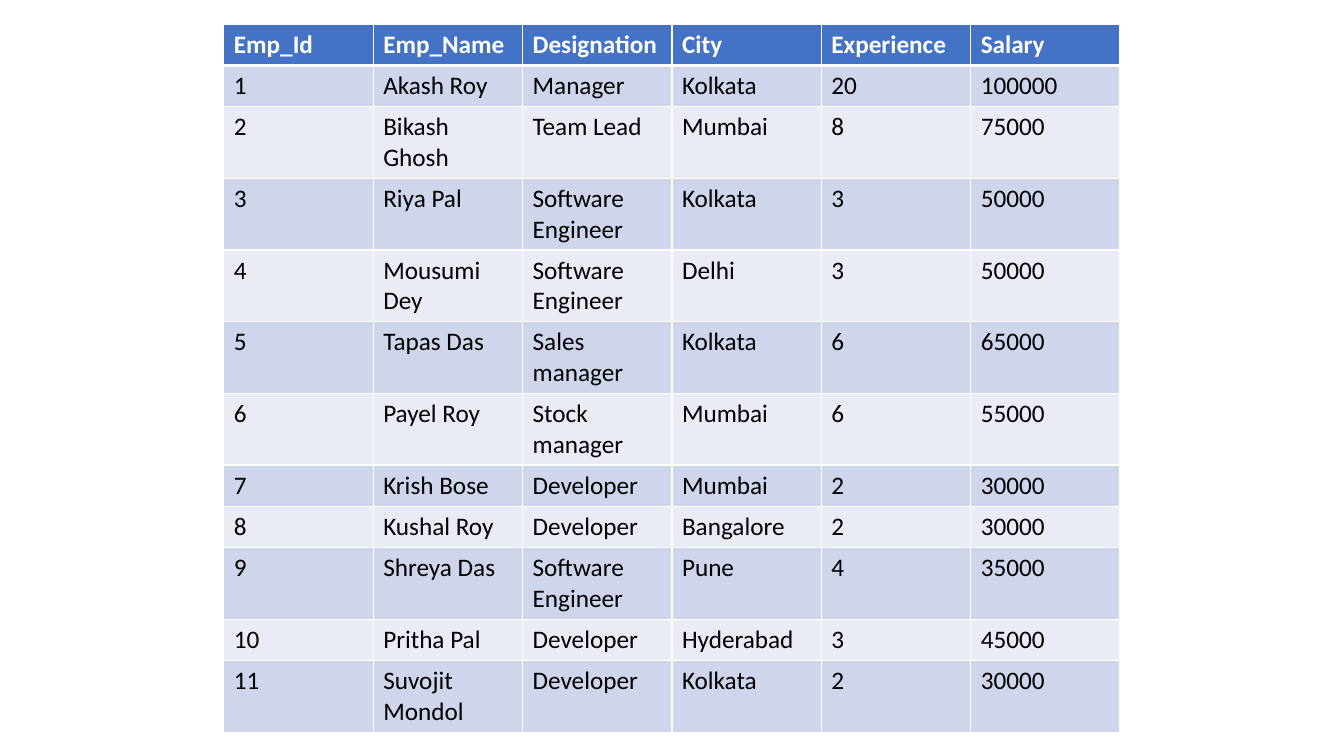
from lxml.etree import SubElement as sub
from pptx import Presentation
from pptx.dml.color import RGBColor as RGB
from pptx.oxml.ns import qn
from pptx.util import Pt

PX = 9144
WHITE = RGB(0xFF, 0xFF, 0xFF)
BLACK = RGB(0x00, 0x00, 0x00)
BLUE = RGB(0x44, 0x72, 0xC4)
BANDS = RGB(0xE9, 0xEB, 0xF5), RGB(0xCF, 0xD5, 0xEA)
FONT = "Calibri"
ROW = 41
STAFF = [
    ("Emp_Id", "Emp_Name", "Designation", "City", "Experience", "Salary"),
    ("1", "Akash Roy", "Manager", "Kolkata", "20", "100000"),
    ("2", "Bikash Ghosh", "Team Lead", "Mumbai", "8", "75000"),
    ("3", "Riya Pal", "Software Engineer", "Kolkata", "3", "50000"),
    ("4", "Mousumi Dey", "Software Engineer", "Delhi", "3", "50000"),
    ("5", "Tapas Das", "Sales manager", "Kolkata", "6", "65000"),
    ("6", "Payel Roy", "Stock manager", "Mumbai", "6", "55000"),
    ("7", "Krish Bose", "Developer", "Mumbai", "2", "30000"),
    ("8", "Kushal Roy", "Developer", "Bangalore", "2", "30000"),
    ("9", "Shreya Das", "Software Engineer", "Pune", "4", "35000"),
    ("10", "Pritha Pal", "Developer", "Hyderabad", "3", "45000"),
    ("11", "Suvojit Mondol", "Developer", "Kolkata", "2", "30000"),
]


def border(cell, row):
    """Draw white cell edges, thicker between the header and the body."""
    props = cell._tc.get_or_add_tcPr()
    thick = {(0, "lnB"), (1, "lnT")}
    for side in ("lnL", "lnR", "lnT", "lnB"):
        width = Pt(3 if (row, side) in thick else 1)
        line = sub(props, qn(f"a:{side}"), w=str(width))
        fill = sub(line, qn("a:solidFill"))
        sub(fill, qn("a:srgbClr"), val=str(WHITE))


def style(cell, text, row):
    """Fill one cell with its text, colours and edges."""
    head = row == 0
    border(cell, row)
    cell.fill.solid()
    cell.fill.fore_color.rgb = BLUE if head else BANDS[row % 2]
    cell.text_frame.text = text
    font = cell.text_frame.paragraphs[0].runs[0].font
    font.name, font.size, font.bold = FONT, Pt(18), head
    font.color.rgb = WHITE if head else BLACK


def roster(slide, left, top, width, height):
    """Place the staff table in the given box."""
    box = [n * PX for n in (left, top, width, height)]
    frame = slide.shapes.add_table(len(STAFF), len(STAFF[0]), *box)
    table = frame.table
    for row, record in enumerate(STAFF):
        table.rows[row].height = ROW * PX
        for col, text in enumerate(record):
            style(table.cell(row, col), text, row)
    frame.height = height * PX


def main():
    """Build and save the slide."""
    deck = Presentation()
    deck.slide_width, deck.slide_height = 1333 * PX, 750 * PX
    slide = deck.slides.add_slide(deck.slide_layouts[6])
    roster(slide, 222, 24, 889, 693)
    deck.save("out.pptx")


if __name__ == "__main__":
    main()
